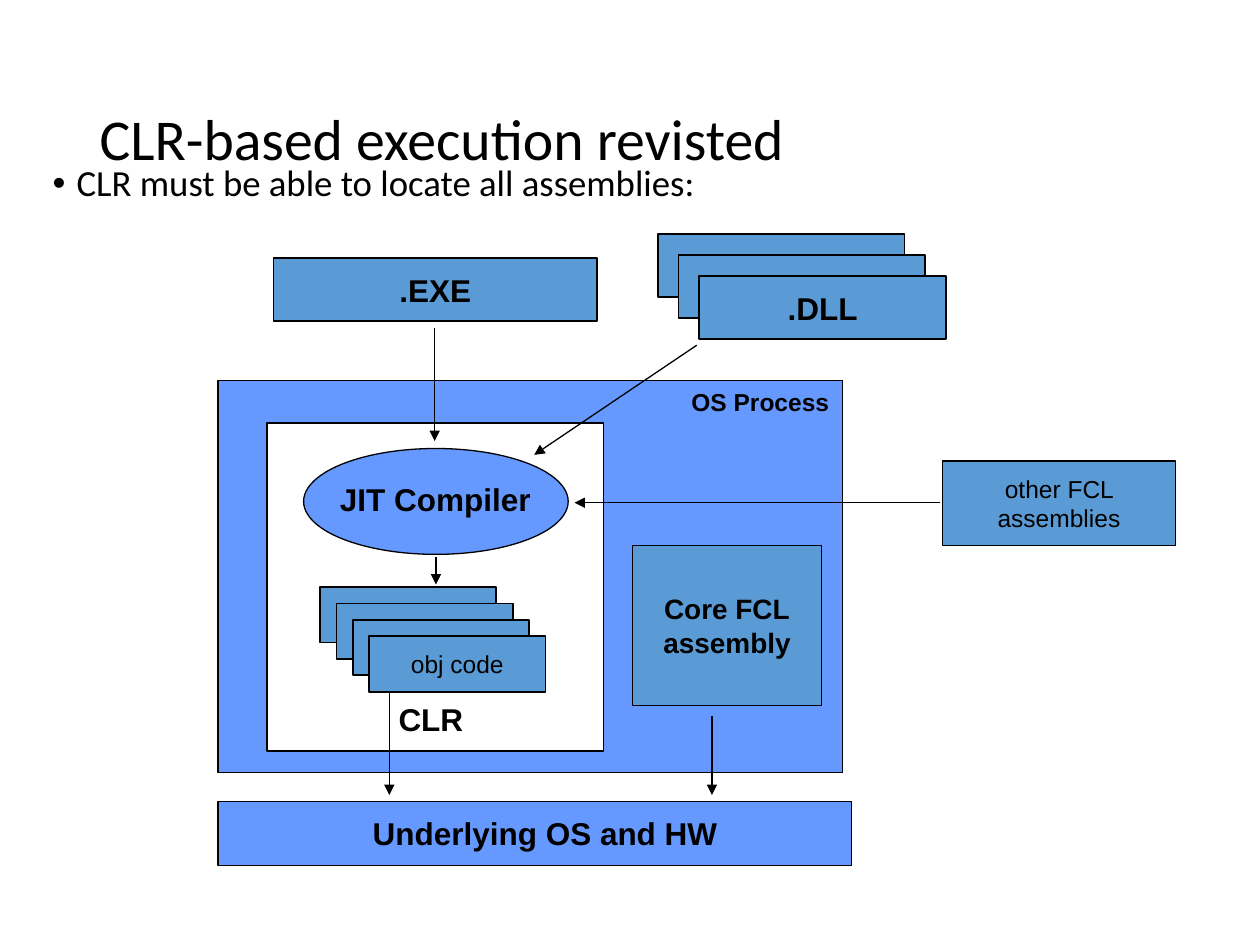
from dataclasses import dataclass
from lxml.etree import SubElement
from pptx import Presentation
from pptx.dml.color import RGBColor
from pptx.enum.shapes import MSO_CONNECTOR, MSO_SHAPE
from pptx.enum.text import MSO_ANCHOR, PP_ALIGN
from pptx.oxml.ns import qn
from pptx.util import Inches, Pt


@dataclass(frozen=True)
class Theme:
    """Colours, fonts and type sizes of the slide."""
    ink: str = "000000"
    paper: str = "FFFFFF"
    host: str = "6699FF"
    code: str = "5B9BD5"
    head: str = "Calibri"
    body: str = "Arial"
    title: int = 33
    lead: int = 21
    large: int = 18
    mid: int = 16
    small: int = 14
    thin: float = 0.75
    edge: float = 1


LOOK = Theme()
PAD = (0.2, 0.1, 0.2, 0.1)


def color(code):
    """Turn a hex code into a colour."""
    return RGBColor.from_string(code)


def write(shape, text, size=LOOK.large, font=LOOK.body, bold=False,
          align=PP_ALIGN.CENTER, anchor=MSO_ANCHOR.MIDDLE,
          pad=(0.1, 0.05, 0.1, 0.05), space=None, bullet=None):
    """Fill a shape with formatted text, one paragraph a line."""
    frame = shape.text_frame
    frame.word_wrap = True
    frame.vertical_anchor = anchor
    (frame.margin_left, frame.margin_top,
     frame.margin_right, frame.margin_bottom) = map(Inches, pad)
    frame.text = text
    for para in frame.paragraphs:
        if bullet:
            props = para._p.get_or_add_pPr()
            props.set("marL", str(Inches(0.19)))
            props.set("indent", str(-Inches(0.19)))
            SubElement(props, qn("a:buFont"), typeface="Arial")
            SubElement(props, qn("a:buChar"), char=bullet)
        para.alignment = align
        para.line_spacing = space
        for run in para.runs:
            run.font.name = font
            run.font.size = Pt(size)
            run.font.bold = bold
            run.font.color.rgb = color(LOOK.ink)


def label(slide, place, text, **style):
    """Add a text box."""
    write(slide.shapes.add_textbox(*map(Inches, place)), text, **style)


def block(slide, place, fill=LOOK.code, text="", kind=MSO_SHAPE.RECTANGLE,
          edge=LOOK.edge, **style):
    """Add a filled, outlined shape with optional text."""
    shape = slide.shapes.add_shape(kind, *map(Inches, place))
    shape.shadow.inherit = False
    shape.fill.solid()
    shape.fill.fore_color.rgb = color(fill)
    shape.line.color.rgb = color(LOOK.ink)
    shape.line.width = Pt(edge)
    if text:
        write(shape, text, **{"pad": PAD, **style})


def stack(slide, place, count, step, text, **style):
    """Add shifted cards with text on the front one."""
    left, top, width, height = place
    for i in range(count):
        spot = (left + i * step, top + i * step, width, height)
        block(slide, spot, text=text if i == count - 1 else "", **style)


def arrow(slide, *ends):
    """Add a thin line with an arrowhead at its end."""
    line = slide.shapes.add_connector(MSO_CONNECTOR.STRAIGHT, *map(Inches, ends))
    line.line.color.rgb = color(LOOK.ink)
    line.line.width = Pt(LOOK.thin)
    SubElement(line.line._get_or_add_ln(), qn("a:tailEnd"), type="triangle")
    SubElement(line._element.spPr, qn("a:effectLst"))


def heading(slide, place, text):
    """Place and fill the title."""
    title = slide.shapes.title
    title.left, title.top, title.width, title.height = map(Inches, place)
    write(title, text, size=LOOK.title, font=LOOK.head,
          align=PP_ALIGN.LEFT, space=0.9)


def main():
    """Build the slide and save it."""
    deck = Presentation()
    deck.slide_width, deck.slide_height = Inches(10), Inches(7.5)
    slide = deck.slides.add_slide(deck.slide_layouts[5])

    heading(slide, (0.69, 0.4, 8.63, 1.45), "CLR-based execution revisted")
    label(slide, (0.32, 1.26, 8.77, 5.22),
          "CLR must be able to locate all assemblies:", size=LOOK.lead,
          font=LOOK.head, align=PP_ALIGN.LEFT, anchor=MSO_ANCHOR.TOP,
          space=0.9, bullet="•")

    block(slide, (1.73, 3.02, 4.96, 3.11), LOOK.host, edge=LOOK.thin)
    block(slide, (2.17, 2.05, 2.57, 0.5), text=".EXE", bold=True)
    block(slide, (7.48, 3.66, 1.85, 0.67), text="other FCL assemblies",
          size=LOOK.small)
    block(slide, (2.12, 3.36, 2.67, 2.6), LOOK.paper, "CLR", bold=True,
          anchor=MSO_ANCHOR.BOTTOM, pad=(0.2, 0.1, 0.27, 0.1))
    block(slide, (2.41, 3.56, 2.1, 0.84), LOOK.host, kind=MSO_SHAPE.OVAL,
          edge=LOOK.thin)
    label(slide, (2.6, 3.76, 1.8, 0.4), "JIT Compiler", bold=True,
          align=PP_ALIGN.LEFT)
    label(slide, (4.76, 3.02, 1.92, 0.34), "OS Process", bold=True,
          size=LOOK.small, align=PP_ALIGN.RIGHT)
    block(slide, (1.73, 6.36, 5.03, 0.51), LOOK.host, edge=LOOK.thin)
    label(slide, (2.86, 6.41, 3.21, 0.4), "Underlying OS and HW", bold=True,
          align=PP_ALIGN.LEFT)
    block(slide, (5.02, 4.33, 1.5, 1.27), text="Core FCL\nassembly",
          size=LOOK.mid, bold=True)

    for ends in ((7.46, 3.99, 4.56, 3.99), (3.46, 4.42, 3.46, 4.64),
                 (3.09, 5.44, 3.09, 6.31), (5.65, 5.68, 5.65, 6.31),
                 (3.45, 2.6, 3.45, 3.5), (5.53, 2.74, 4.24, 3.61)):
        arrow(slide, *ends)

    stack(slide, (5.22, 1.86, 1.96, 0.5), 3, 0.165, ".DLL", bold=True)
    stack(slide, (2.54, 4.66, 1.4, 0.44), 4, 0.13, "obj code",
          size=LOOK.small)
    deck.save("out.pptx")


if __name__ == "__main__":
    main()
